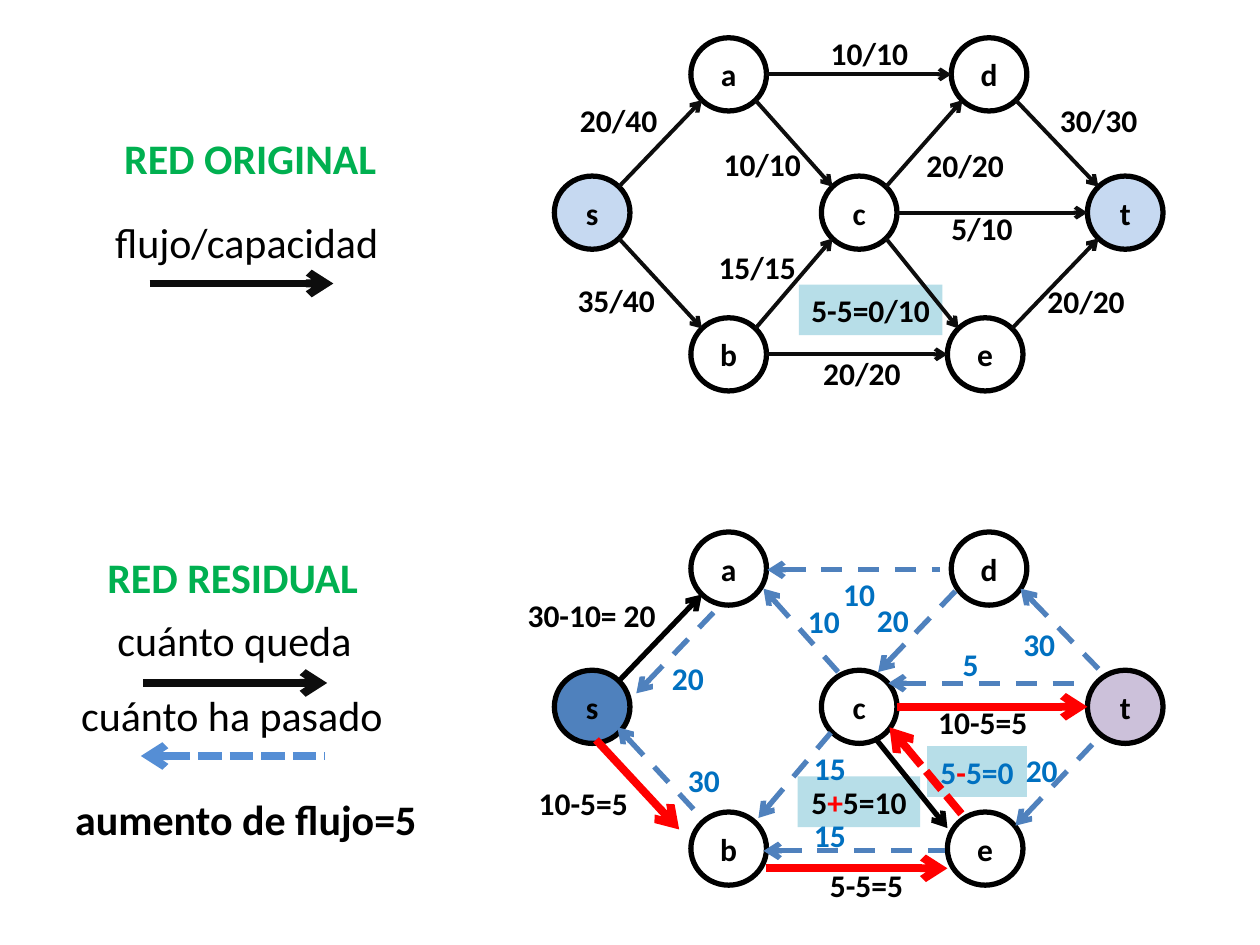
from lxml.etree import SubElement
from pptx import Presentation
from pptx.dml.color import RGBColor
from pptx.enum.dml import MSO_LINE
from pptx.enum.shapes import MSO_CONNECTOR, MSO_SHAPE
from pptx.enum.text import MSO_ANCHOR, PP_ALIGN
from pptx.oxml.ns import qn
from pptx.util import Pt

BLACK, INK, RED = "000000", "0D0D0D", "FF0000"
GREEN, BLUE, STEEL = "00B050", "0070C0", "4F81BD"
HIGHLIGHT = "B7DEE8"
NODE_W, NODE_H = 43.2, 41.8
LABEL_H, CAPTION_H = 29, 36

# Node positions relative to the corner of a network
NODES = {"s": (0, 79), "a": (78, 0), "b": (78, 160), "c": (152.6, 79),
         "d": (226.8, 0), "e": (224.6, 160), "t": (304.6, 79)}


def rgb(code):
    return RGBColor.from_string(code)


def write(shape, runs, size=18, bold=True, wrap=False):
    """Centre the (text, colour) runs in a shape."""
    frame = shape.text_frame
    frame.word_wrap = wrap
    paragraph = frame.paragraphs[0]
    paragraph.alignment = PP_ALIGN.CENTER
    for text, color in runs:
        run = paragraph.add_run()
        run.text = text
        run.font.name, run.font.size, run.font.bold = "Calibri", Pt(size), bold
        run.font.color.rgb = rgb(color)


def add_text(slide, runs, x, y, w, h=LABEL_H, **style):
    label = slide.shapes.add_textbox(Pt(x), Pt(y), Pt(w), Pt(h))
    write(label, runs, **style)


def add_highlight(slide, runs, x, y, w):
    band = slide.shapes.add_shape(MSO_SHAPE.RECTANGLE, Pt(x), Pt(y), Pt(w), Pt(LABEL_H))
    band.shadow.inherit = False
    band.fill.solid()
    band.fill.fore_color.rgb = rgb(HIGHLIGHT)
    band.line.fill.background()
    write(band, runs)


def add_node(slide, name, x, y, fill=None):
    node = slide.shapes.add_shape(MSO_SHAPE.OVAL, Pt(x), Pt(y), Pt(NODE_W), Pt(NODE_H))
    node.shadow.inherit = False
    if fill:
        node.fill.solid()
        node.fill.fore_color.rgb = rgb(fill)
    else:
        node.fill.background()
    node.line.color.rgb = rgb(BLACK)
    node.line.width = Pt(3)
    node.text_frame.vertical_anchor = MSO_ANCHOR.MIDDLE
    write(node, [(name, BLACK)])


def add_arrow(slide, points, color, width, dash=None):
    """Solid arrows point to their end, dashed return arrows to their start."""
    arrow = slide.shapes.add_connector(MSO_CONNECTOR.STRAIGHT, *map(Pt, points))
    arrow.line.color.rgb = rgb(color)
    arrow.line.width = Pt(width)
    if dash:
        arrow.line.dash_style = dash
    line = arrow.line._get_or_add_ln()
    SubElement(line, qn("a:headEnd" if dash else "a:tailEnd"), type="arrow")
    SubElement(arrow._element.spPr, qn("a:effectLst"))


def rim_to_rim(edge):
    """Ends of an edge on the facing sides of its two nodes."""
    (x1, y1), (x2, y2) = (NODES[name] for name in edge)
    dx = (x2 > x1) - (x2 < x1)
    dy = (y2 > y1) - (y2 < y1)
    reach = 0.707 if dx and dy else 1
    off_x, off_y = dx * reach * NODE_W / 2, dy * reach * NODE_H / 2
    return (x1 + NODE_W / 2 + off_x, y1 + NODE_H / 2 + off_y,
            x2 + NODE_W / 2 - off_x, y2 + NODE_H / 2 - off_y)


def add_network(slide, left, top, fills, highlights, edges, labels):
    """Edges are node pairs or (x1, y1, x2, y2) relative to the corner."""
    for runs, x, y, w in highlights:
        add_highlight(slide, runs, left + x, top + y, w)
    for name, (x, y) in NODES.items():
        add_node(slide, name, left + x, top + y, fills.get(name))
    for edge, *style in edges:
        x1, y1, x2, y2 = rim_to_rim(edge) if isinstance(edge, str) else edge
        add_arrow(slide, (left + x1, top + y1, left + x2, top + y2), *style)
    for text, color, x, y, w in labels:
        add_text(slide, [(text, color)], left + x, top + y, w)


def add_original_network(slide, left, top):
    edges = "sa sb be dt et ad ct ac ce bc cd".split()
    labels = [("10/10", 150.5, -5.8), ("20/40", 7.2, 32.4), ("30/30", 281.5, 32.4),
              ("10/10", 89.3, 57.6), ("20/20", 274.3, 136), ("35/40", 5.8, 135.4),
              ("20/20", 146.2, 177), ("15/15", 86.4, 116.6), ("20/20", 205.2, 58.3),
              ("5/10", 214.8, 94.3)]
    add_network(slide, left, top, {"s": "C6D9F1", "t": "C6D9F1"},
                [([("5-5=0/10", BLACK)], 139.7, 141, 82)],
                [(edge, INK, 2.25) for edge in edges],
                [(text, BLACK, x, y, 59) for text, x, y in labels])


def add_residual_network(slide, left, top):
    highlights = [([("5", BLUE), ("-", RED), ("5=0", BLUE)], 213, 122.4, 57),
                  ([("5", BLACK), ("+", RED), ("5=10", BLACK)], 139, 139.7, 70)]
    remaining = [("sa", BLACK, 3), ((183, 117.4, 224.6, 169.2), BLACK, 3),
                 ((23.8, 118.8, 71.3, 170), RED, 4.5),
                 ((121, 192.2, 224.6, 192.2), RED, 4.5), ("ct", RED, 4.5)]
    returns = [(46.8, 92.2, 94.3, 42.5), (121.7, 21.6, 220.3, 21.6),
               (266.4, 32.4, 314, 81.4), (119.5, 32.4, 163.4, 81.4),
               (185, 80, 232.6, 30.2), (36, 111.6, 83.5, 162.7),
               (116.6, 163.4, 160.6, 111.6), (263.5, 167.8, 312.5, 116),
               (119.5, 182.2, 223.2, 182.2), (190.8, 86.4, 299.5, 86.4)]
    edges = remaining + [(points, STEEL, 3, MSO_LINE.DASH) for points in returns]
    edges.append(((191.5, 111.6, 234, 162.7), RED, 4.5, MSO_LINE.SQUARE_DOT))
    # Capacity left in black, flow already sent in blue
    left_over = [("30-10= 20", -23, 33, 88.6), ("10-5=5", 211.7, 94.3, 66.2),
                 ("10-5=5", -16.6, 140.4, 66.2), ("5-5=5", 149.8, 187.2, 57)]
    sent = [("20", 59.8, 69), ("10", 157.7, 21), ("30", 260.6, 49.7),
            ("10", 137.5, 36.7), ("20", 177, 36), ("30", 69, 127.4),
            ("15", 141, 120.2), ("20", 262, 121.7), ("15", 141, 159), ("5", 221.4, 61.2)]
    labels = [(text, BLACK, x, y, w) for text, x, y, w in left_over]
    labels += [(text, BLUE, x, y, 33) for text, x, y in sent]
    add_network(slide, left, top, {"s": STEEL, "t": "CCC1DA"}, highlights, edges, labels)


def add_key(slide, caption, x, y, w, arrow_x, arrow_y, color, dash=None):
    add_text(slide, [(caption, BLACK)], x, y, w, CAPTION_H, size=24, bold=False)
    add_arrow(slide, (arrow_x, arrow_y, arrow_x + 105, arrow_y), color, 4.5, dash)


def add_original_legend(slide, left, top):
    title = slide.shapes.title
    title.left, title.top, title.width, title.height = map(
        Pt, (left + 18, top, 174, CAPTION_H))
    title.text_frame.vertical_anchor = MSO_ANCHOR.TOP
    write(title, [("RED ORIGINAL", GREEN)], size=24, wrap=True)
    add_key(slide, "flujo/capacidad", left + 20, top + 48, 166,
            left + 47.5, top + 90, INK)


def add_residual_legend(slide, left, top):
    add_text(slide, [("RED RESIDUAL", GREEN)], left + 8, top, 174, CAPTION_H,
             size=24, wrap=True)
    add_key(slide, "cuánto queda", left + 21, top + 36, 150,
            left + 44, top + 78.5, INK)
    add_key(slide, "cuánto ha pasado", left, top + 78.5, 189,
            left + 42.5, top + 120.2, "558ED5", MSO_LINE.SQUARE_DOT)
    add_text(slide, [("aumento de flujo=5", BLACK)], left - 3.5, top + 138.2, 212,
             CAPTION_H, size=24)


def main():
    deck = Presentation()
    deck.slide_width, deck.slide_height = Pt(720), Pt(540)
    slide = deck.slides.add_slide(deck.slide_layouts[5])
    add_original_network(slide, 316.8, 21.6)
    add_residual_network(slide, 316.8, 304)
    add_original_legend(slide, 38, 72)
    add_residual_legend(slide, 38, 311.8)
    deck.save("out.pptx")


if __name__ == "__main__":
    main()
